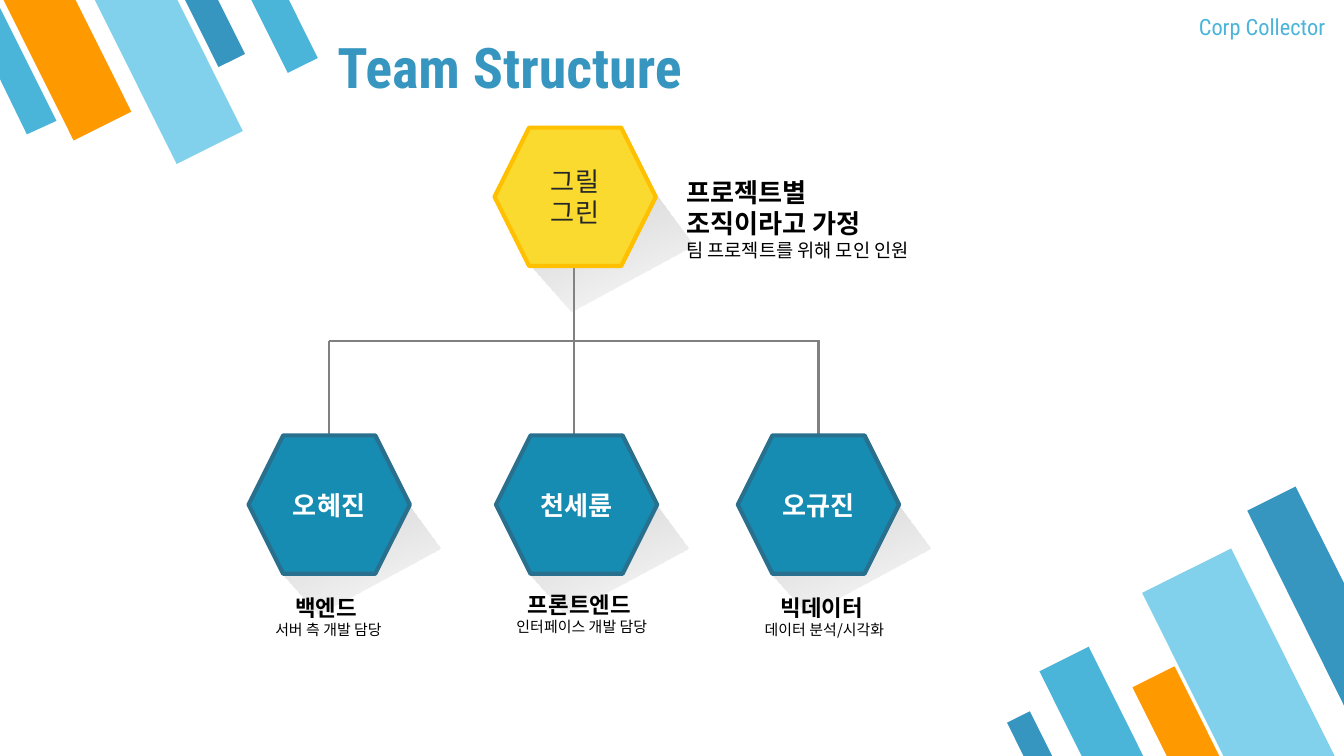
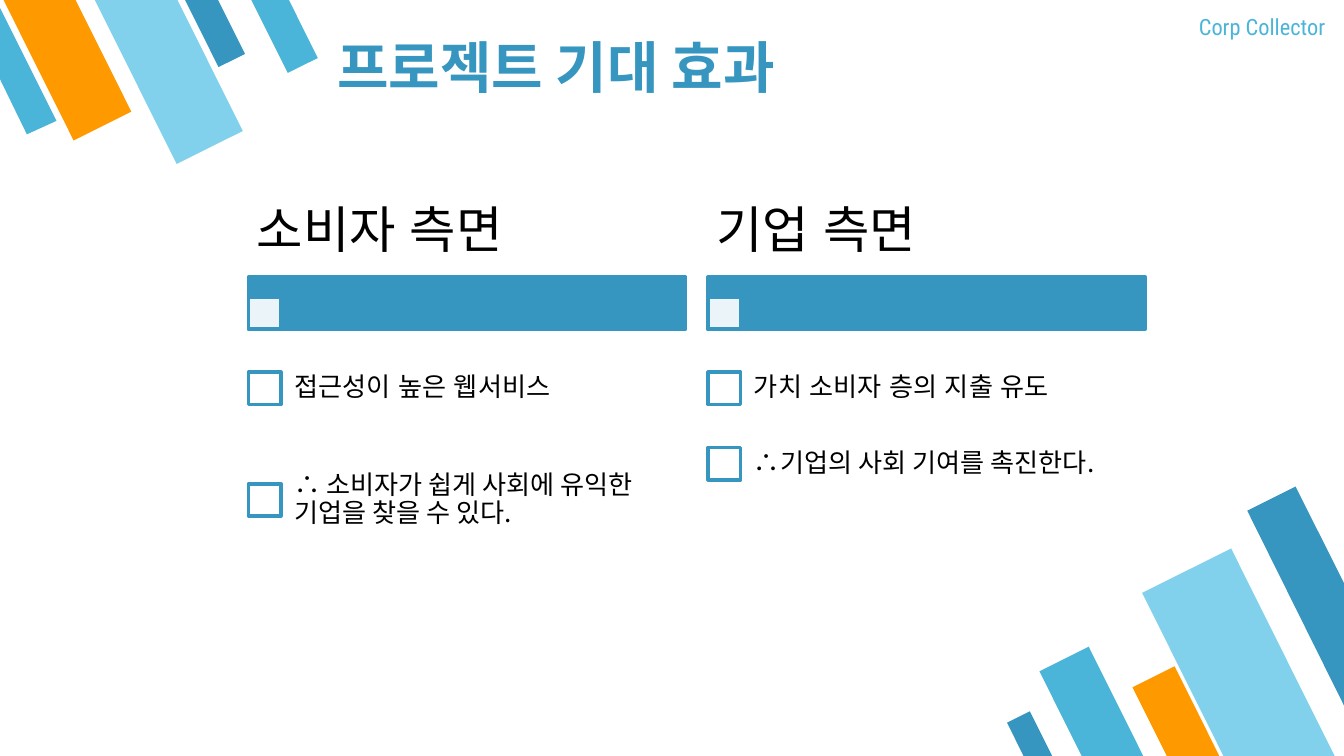
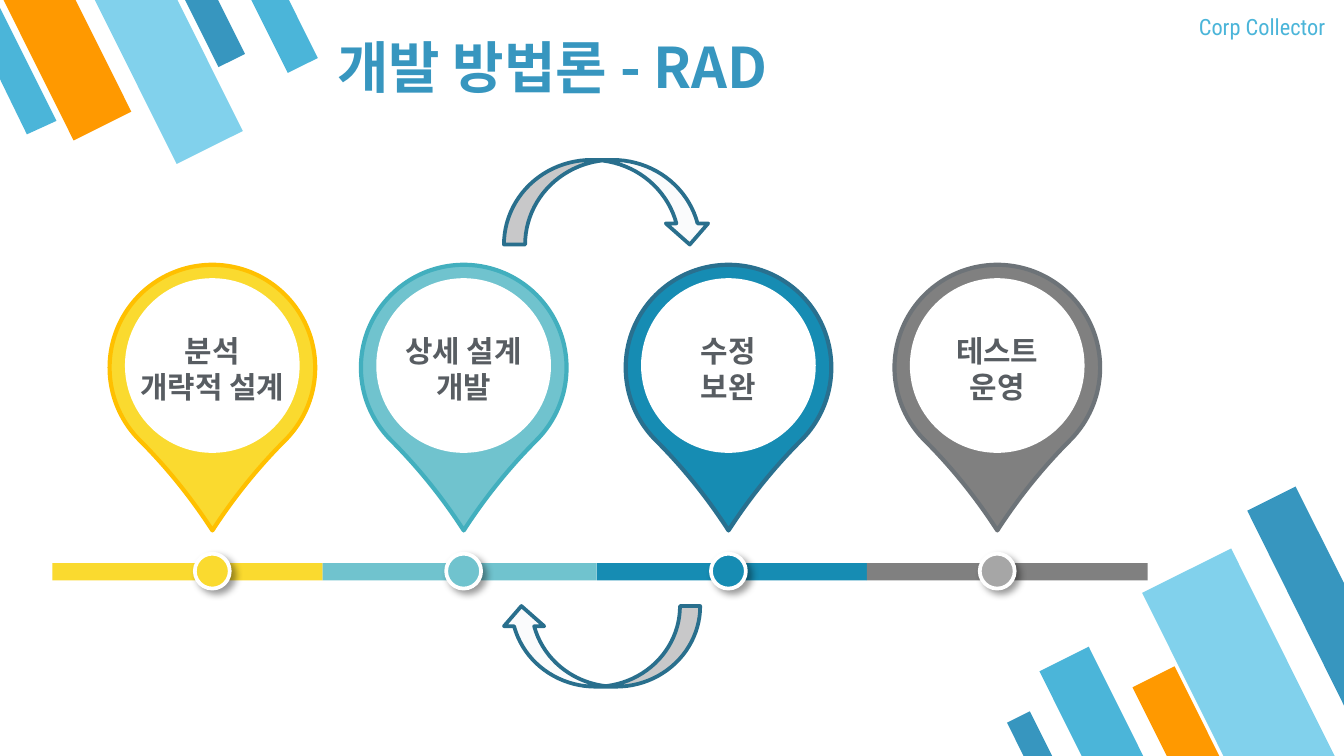
from dataclasses import dataclass

from lxml import etree
from pptx import Presentation
from pptx import util as u
from pptx.dml.color import RGBColor
from pptx.enum import shapes, text
from pptx.oxml import ns

Inches, Pt = u.Inches, u.Pt
Kind, Align, Anchor = shapes.MSO_SHAPE, text.PP_ALIGN, text.MSO_ANCHOR


# Theme: colours, fonts and type sizes
@dataclass(frozen=True)
class Theme:
    blue: str = "3796BF"
    mid_blue: str = "4BB5D9"
    light_blue: str = "81D1EC"
    orange: str = "FF9900"
    yellow: str = "FADA2F"
    amber: str = "FFC000"
    teal: str = "70C3CE"
    teal_edge: str = "42AFBE"
    ocean: str = "168CB3"
    ocean_edge: str = "29708F"
    gray: str = "808080"
    gray_edge: str = "6D7378"
    silver: str = "A6A6A6"
    arrow_fill: str = "FAFBFC"
    arrow_edge: str = "296F8D"
    white: str = "FFFFFF"
    black: str = "000000"
    dark: str = "252729"
    slate: str = "585D62"
    latin: str = "Roboto Condensed"
    korean: str = "Noto Sans CJK KR"
    body: str = "Arial"
    title_size: float = 30
    heading_size: float = 27
    stage_size: float = 16
    text_size: float = 14
    label_size: float = 12
    note_size: float = 10
    caption_size: float = 8


THEME = Theme()


@dataclass(frozen=True)
class Box:
    left: float
    top: float
    width: float
    height: float

    def emu(self) -> tuple:
        return tuple(Inches(v) for v in (self.left, self.top, self.width, self.height))


@dataclass(frozen=True)
class Style:
    size: float
    color: str = THEME.black
    font: str = THEME.korean
    bold: bool = False
    align: Align = Align.LEFT
    spacing: float | None = None


@dataclass(frozen=True)
class Stripe:
    box: Box
    rotation: float
    color: str


@dataclass(frozen=True)
class Member:
    name: str
    left: float
    top: float
    fill: str = THEME.ocean
    edge: str = THEME.ocean_edge
    color: str = THEME.white
    bold: bool = True
    shadow_shift: tuple = (0, 0)


@dataclass(frozen=True)
class Caption:
    box: Box
    role: str
    duty: str


@dataclass(frozen=True)
class Aspect:
    left: float
    heading: str
    rows: tuple  # (text, font, row height)


@dataclass(frozen=True)
class Stage:
    label: str
    center: float
    bar_left: float
    bar_right: float
    fill: str
    edge: str
    dot: str


# Drawing helpers
def rgb(color: str) -> RGBColor:
    return RGBColor.from_string(color)


def paint(shape, fill: str, edge: str | None = None, weight: float = 2) -> None:
    shape.shadow.inherit = False
    shape.fill.solid()
    shape.fill.fore_color.rgb = rgb(fill)
    if edge:
        shape.line.color.rgb = rgb(edge)
        shape.line.width = Pt(weight)
    else:
        shape.line.fill.background()


def add_shape(slide, kind, box: Box, fill: str, edge: str | None = None, weight: float = 2):
    shape = slide.shapes.add_shape(kind, *box.emu())
    paint(shape, fill, edge, weight)
    return shape


def add_outline(slide, points):
    corners = [(Inches(x), Inches(y)) for x, y in points]
    builder = slide.shapes.build_freeform(*corners[0], scale=1.0)
    builder.add_line_segments(corners[1:], close=True)
    return builder.convert_to_shape()


def flip_horizontally(shape) -> None:
    shape.element.spPr.get_or_add_xfrm().set("flipH", "1")


def add_alpha(parent, color: str, percent: int) -> None:
    node = etree.SubElement(parent, ns.qn("a:srgbClr"), val=color)
    etree.SubElement(node, ns.qn("a:alpha"), val=str(percent * 1000))


def write(frame, lines: list[tuple[str, Style]]) -> None:
    for index, (words, style) in enumerate(lines):
        paragraph = frame.add_paragraph() if index else frame.paragraphs[0]
        paragraph.text = words
        paragraph.alignment = style.align
        if style.spacing:
            paragraph.line_spacing = style.spacing
        font = paragraph.font
        font.name, font.size, font.bold = style.font, Pt(style.size), style.bold
        font.color.rgb = rgb(style.color)
        # East Asian typeface follows the Latin one
        defaults = paragraph._p.pPr.find(ns.qn("a:defRPr"))
        etree.SubElement(defaults, ns.qn("a:ea"), typeface=style.font)


def set_insets(frame, across: float, down: float) -> None:
    frame.margin_left = frame.margin_right = Inches(across)
    frame.margin_top = frame.margin_bottom = Inches(down)


def add_text(slide, box: Box, lines, anchor=Anchor.TOP, insets=(0.1, 0.05), grow=False) -> None:
    frame = slide.shapes.add_textbox(*box.emu()).text_frame
    frame.word_wrap = True
    frame.vertical_anchor = anchor
    frame.auto_size = text.MSO_AUTO_SIZE.SHAPE_TO_FIT_TEXT if grow else text.MSO_AUTO_SIZE.NONE
    set_insets(frame, *insets)
    write(frame, lines)


# Shared parts: corner stripes on the layout, title and project name on slides
TOP_ROTATION, BOTTOM_ROTATION = 333.5, 153.5
STRIPES = (
    Stripe(Box(1.49, -0.08, 0.22, 0.56), TOP_ROTATION, THEME.blue),
    Stripe(Box(0.26, -0.18, 0.48, 1.18), TOP_ROTATION, THEME.orange),
    Stripe(Box(0.98, -0.2, 0.55, 1.37), TOP_ROTATION, THEME.light_blue),
    Stripe(Box(1.99, -0.1, 0.25, 0.62), TOP_ROTATION, THEME.mid_blue),
    Stripe(Box(7.94, 4.85, 0.41, 1.02), BOTTOM_ROTATION, THEME.mid_blue),
    Stripe(Box(8.87, 4.15, 0.74, 1.84), BOTTOM_ROTATION, THEME.light_blue),
    Stripe(Box(8.6, 4.99, 0.35, 0.86), BOTTOM_ROTATION, THEME.orange),
    Stripe(Box(7.59, 5.31, 0.19, 0.48), BOTTOM_ROTATION, THEME.blue),
)
EDGE_STRIPES = (
    (THEME.mid_blue, ((0.2, 1), (0.42, 0.9), (0, 0.06), (0, 0.59))),
    (THEME.blue, ((9.64, 3.62), (9.28, 3.8), (10, 5.25), (10, 4.34))),
)


def decorate_layout(layout, slide) -> None:
    """Draw the stripes on a slide and move them to its layout."""
    stripes = []
    for stripe in STRIPES:
        shape = add_shape(slide, Kind.FLOWCHART_MANUAL_INPUT, stripe.box, stripe.color)
        shape.rotation = stripe.rotation
        flip_horizontally(shape)
        stripes.append(shape)
    for color, points in EDGE_STRIPES:
        shape = add_outline(slide, points)
        paint(shape, color)
        stripes.append(shape)
    for shape in stripes:
        layout.shapes.element.append(shape.element)


def add_titled_slide(presentation, title: str, font: str = THEME.korean):
    slide = presentation.slides.add_slide(presentation.slide_layouts[5])
    shape = slide.shapes.title
    shape.left, shape.top, shape.width, shape.height = Box(2.41, 0.1, 6.3, 0.74).emu()
    frame = shape.text_frame
    frame.word_wrap = True
    frame.auto_size = text.MSO_AUTO_SIZE.NONE
    frame.vertical_anchor = Anchor.BOTTOM
    set_insets(frame, 0.1, 0.1)
    write(frame, [(title, Style(THEME.title_size, THEME.blue, font, bold=True))])
    name_style = Style(THEME.label_size, THEME.mid_blue, THEME.latin, align=Align.RIGHT)
    add_text(slide, Box(8.71, 0, 1.25, 0.43), [("Corp Collector", name_style)], insets=(0.1, 0.1))
    return slide


# Slide 1: team structure
MEMBER_TOP = 3.24
LEAD = Member("그릴 그린", 3.68, 0.95, THEME.yellow, THEME.amber, THEME.dark, False, (0.05, 0.04))
MEMBERS = (
    Member("오혜진", 1.85, MEMBER_TOP),
    Member("천세륜", 3.69, MEMBER_TOP),
    Member("오규진", 5.49, MEMBER_TOP),
)
CAPTIONS = (
    Caption(Box(1.85, 4.37, 1.19, 0.45), "백엔드 ", "서버 측 개발 담당"),
    Caption(Box(3.72, 4.35, 1.22, 0.44), "프론트엔드 ", "인터페이스 개발 담당"),
    Caption(Box(5.45, 4.37, 1.37, 0.45), "빅데이터 ", "데이터 분석/시각화"),
)
CAST_SHADOW = ((1.43, 0.84), (1.13, 0.43), (0.23, 1), (0.52, 1.33))
BRANCH_TOP = 2.54
BRANCHES = (
    (2.45, BRANCH_TOP, 6.1, BRANCH_TOP),
    (2.45, BRANCH_TOP, 2.45, MEMBER_TOP),
    (6.09, BRANCH_TOP, 6.09, MEMBER_TOP),
    (4.27, 2.31, 4.27, MEMBER_TOP),
    (4.27, 1.55, 4.27, 2.32),
)


def add_branch(slide, ends: tuple) -> None:
    line = slide.shapes.add_connector(
        shapes.MSO_CONNECTOR.STRAIGHT, *(Inches(value) for value in ends)
    )
    line.line.color.rgb = rgb(THEME.gray)
    line.line.width = Pt(1.25)
    etree.SubElement(line.element.spPr, ns.qn("a:effectLst"))


def add_cast_shadow(slide, member: Member) -> None:
    left, top = member.left + member.shadow_shift[0], member.top + member.shadow_shift[1]
    shape = add_outline(slide, [(left + x, top + y) for x, y in CAST_SHADOW])
    paint(shape, THEME.silver)
    solid = shape.element.spPr.find(ns.qn("a:solidFill"))
    gradient = etree.Element(ns.qn("a:gradFill"))
    stops = etree.SubElement(gradient, ns.qn("a:gsLst"))
    for position, color, alpha in ((0, THEME.silver, 45), (100, THEME.gray, 0)):
        stop = etree.SubElement(stops, ns.qn("a:gs"), pos=str(position * 1000))
        add_alpha(stop, color, alpha)
    etree.SubElement(gradient, ns.qn("a:lin"), ang=str(68 * 60000), scaled="0")
    shape.element.spPr.replace(solid, gradient)


def add_member(slide, member: Member) -> None:
    add_cast_shadow(slide, member)
    box = Box(member.left, member.top, 1.2, 1.03)
    hexagon = add_shape(slide, Kind.HEXAGON, box, member.fill, member.edge, 2.25)
    hexagon.text_frame.vertical_anchor = Anchor.MIDDLE
    style = Style(THEME.text_size, member.color, THEME.body, member.bold, Align.CENTER)
    write(hexagon.text_frame, [(member.name, style)])


def fill_team(slide) -> None:
    for ends in BRANCHES:
        add_branch(slide, ends)
    add_member(slide, LEAD)
    add_text(slide, Box(5.01, 1.26, 1.94, 0.83), [
        ("프로젝트별 조직이라고 가정", Style(THEME.text_size, bold=True)),
        ("팀 프로젝트를 위해 모인 인원", Style(THEME.note_size)),
    ], grow=True)
    for member in MEMBERS:
        add_member(slide, member)
    for caption in CAPTIONS:
        add_text(slide, caption.box, [
            (caption.role, Style(THEME.label_size, bold=True, align=Align.CENTER)),
            (caption.duty, Style(THEME.caption_size, align=Align.CENTER)),
        ], grow=True)


# Slide 2: expected effects
COLUMN_WIDTH, CHECK_SIZE, ROWS_TOP = 3.25, 0.24, 2.61
ASPECTS = (
    Aspect(1.85, "소비자 측면", (
        ("접근성이 높은 웹서비스", THEME.body, 0.56),
        ("∴ 소비자가 쉽게 사회에 유익한\n기업을 찾을 수 있다.".replace("\n", "\v"), THEME.korean, 1.1),
    )),
    Aspect(5.27, "기업 측면", (
        ("가치 소비자 층의 지출 유도", THEME.body, 0.56),
        ("∴기업의 사회 기여를 촉진한다.", THEME.korean, 0.56),
    )),
)


def add_check(slide, left: float, top: float):
    box = Box(left, top, CHECK_SIZE, CHECK_SIZE)
    return add_shape(slide, Kind.RECTANGLE, box, THEME.white, THEME.blue)


def add_aspect(slide, aspect: Aspect) -> None:
    bar = Box(aspect.left, 2.06, COLUMN_WIDTH, 0.39)
    add_shape(slide, Kind.RECTANGLE, bar, THEME.blue, THEME.blue)
    bar_check = add_check(slide, aspect.left, 2.21)
    solid = bar_check.element.spPr.find(ns.qn("a:solidFill"))
    solid.remove(solid[0])
    add_alpha(solid, THEME.white, 90)
    heading = Style(THEME.heading_size, font=THEME.body, spacing=0.9)
    add_text(slide, Box(aspect.left, 1.38, COLUMN_WIDTH, 0.69),
             [(aspect.heading, heading)], Anchor.MIDDLE, (0.06, 0.04))
    top = ROWS_TOP
    for words, font, height in aspect.rows:
        add_check(slide, aspect.left, top + (height - CHECK_SIZE) / 2)
        box = Box(aspect.left + 0.23, top, COLUMN_WIDTH - 0.23, height)
        style = Style(THEME.text_size, font=font, spacing=0.9)
        add_text(slide, box, [(words, style)], Anchor.MIDDLE, (0.11, 0.11))
        top += height


# Slide 3: development stages
STAGES = (
    Stage("분석\v개략적 설계", 1.58, 0.39, 2.4, THEME.yellow, THEME.amber, THEME.yellow),
    Stage("상세 설계\v개발", 3.45, 2.4, 4.44, THEME.teal, THEME.teal_edge, THEME.teal),
    Stage("수정\v보완", 5.42, 4.44, 6.45, THEME.ocean, THEME.ocean_edge, THEME.ocean),
    Stage("테스트\v운영", 7.42, 6.45, 8.54, THEME.gray, THEME.gray_edge, THEME.silver),
)


def add_pin(slide, stage: Stage) -> None:
    def centered(top: float, width: float, height: float) -> Box:
        return Box(stage.center - width / 2, top, width, height)

    pin = add_shape(slide, Kind.TEAR, centered(1.97, 1.53, 1.53), stage.fill, stage.edge, 2.25)
    pin.adjustments[0] = 1.12
    pin.rotation = 135
    add_shape(slide, Kind.OVAL, centered(2.07, 1.3, 1.3), THEME.white)
    dot = add_shape(slide, Kind.OVAL, centered(4.12, 0.26, 0.26), stage.dot, THEME.white)
    effects = dot.element.spPr.find(ns.qn("a:effectLst"))
    shadow = etree.SubElement(effects, ns.qn("a:outerShdw"), blurRad=str(Pt(4)),
                              dist=str(Pt(3)), dir=str(45 * 60000), algn="tl")
    add_alpha(shadow, THEME.black, 40)
    style = Style(THEME.stage_size, THEME.slate, bold=True, align=Align.CENTER)
    add_text(slide, centered(2.43, 1.6, 0.64), [(stage.label, style)], grow=True)


def fill_stages(slide) -> None:
    for stage in STAGES:
        bar = Box(stage.bar_left, 4.19, stage.bar_right - stage.bar_left, 0.13)
        add_shape(slide, Kind.RECTANGLE, bar, stage.fill)
    for stage in STAGES:
        add_pin(slide, stage)
    # Loop between building and revising
    add_shape(slide, Kind.CURVED_DOWN_ARROW, Box(3.75, 1.19, 1.54, 0.63),
              THEME.arrow_fill, THEME.arrow_edge)
    back = add_shape(slide, Kind.CURVED_UP_ARROW, Box(3.73, 4.51, 1.48, 0.6),
                     THEME.arrow_fill, THEME.arrow_edge)
    flip_horizontally(back)


def main() -> None:
    presentation = Presentation()
    # Widescreen, 16 to 9
    presentation.slide_width = Inches(10)
    presentation.slide_height = Inches(10) * 9 // 16

    team = add_titled_slide(presentation, "Team Structure", THEME.latin)
    decorate_layout(team.slide_layout, team)
    fill_team(team)

    effects = add_titled_slide(presentation, "프로젝트 기대 효과")
    for aspect in ASPECTS:
        add_aspect(effects, aspect)

    fill_stages(add_titled_slide(presentation, "개발 방법론 - RAD"))
    presentation.save("out.pptx")


if __name__ == "__main__":
    main()
